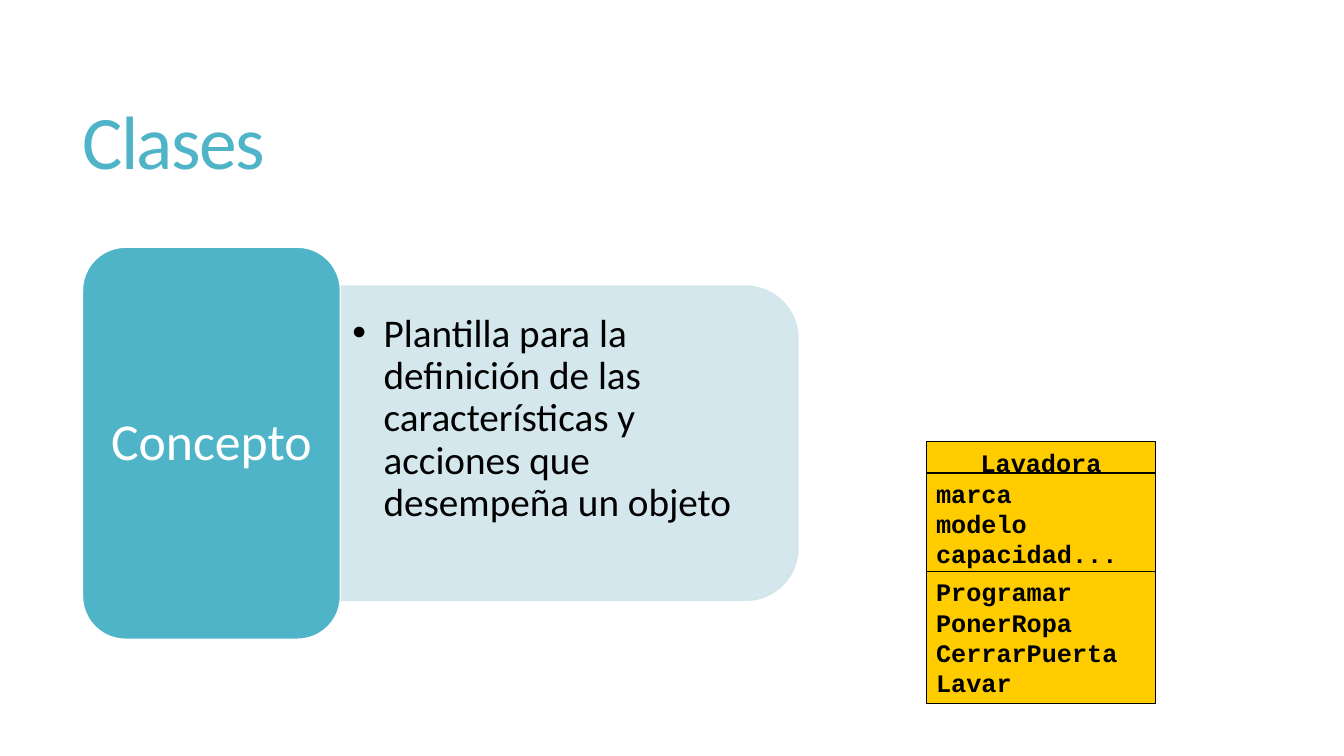
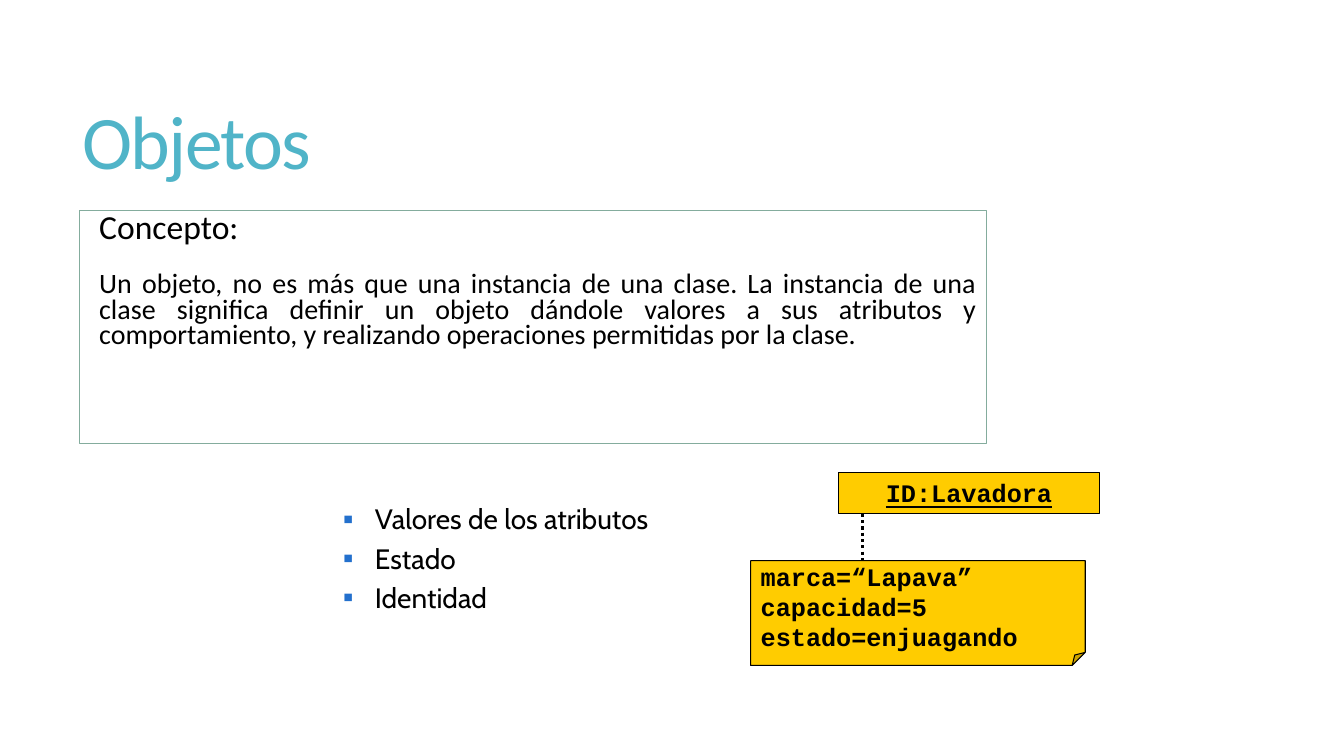
from lxml import etree
from pptx import Presentation
from pptx.dml.color import RGBColor
from pptx.enum.dml import MSO_LINE
from pptx.enum.shapes import MSO_CONNECTOR, MSO_SHAPE
from pptx.enum.text import MSO_ANCHOR, PP_ALIGN
from pptx.oxml.ns import qn
from pptx.util import Cm, Pt

RECT = MSO_SHAPE.RECTANGLE
ROUNDED = MSO_SHAPE.ROUNDED_RECTANGLE
ROUNDED_END = MSO_SHAPE.ROUND_2_SAME_RECTANGLE
NOTE = MSO_SHAPE.FOLDED_CORNER
STRAIGHT = MSO_CONNECTOR.STRAIGHT
DOTTED = MSO_LINE.ROUND_DOT
TOP, MIDDLE = MSO_ANCHOR.TOP, MSO_ANCHOR.MIDDLE
LEFT, CENTER, JUSTIFY = PP_ALIGN.LEFT, PP_ALIGN.CENTER, PP_ALIGN.JUSTIFY

COLORS = {
    "accent": "50B4C8",
    "panel": "D0E5EB",
    "class": "FFCC00",
    "frame": "84AC9D",
    "bullet": "2370CD",
    "ink": "000000",
    "paper": "FFFFFF",
}
BODY_FONT, LIST_FONT, CODE_FONT = "Calibri", "Cabin", "Courier New"
TITLE_BOX = (1.83, 1.4, 29.92, 4.6)
NAME_HEIGHT = 1.04


def rgb(name):
    return RGBColor.from_string(COLORS[name])


def add_box(slide, kind, box, fill, line, width=1):
    shape = slide.shapes.add_shape(kind, *map(Cm, box))
    shape.shadow.inherit = False
    shape.fill.solid()
    shape.fill.fore_color.rgb = rgb(fill)
    shape.line.color.rgb = rgb(line)
    shape.line.width = Pt(width)
    return shape


def set_frame(shape, anchor=TOP, insets=(0.25, 0.13, 0.25, 0.13)):
    frame = shape.text_frame
    frame.word_wrap = True
    frame.vertical_anchor = anchor
    (frame.margin_left, frame.margin_top,
     frame.margin_right, frame.margin_bottom) = map(Cm, insets)
    return frame


def add_text_area(slide, box, **options):
    return set_frame(slide.shapes.add_textbox(*map(Cm, box)), **options)


def write(frame, lines, size, font=BODY_FONT, color="ink", bold=False, underline=False,
          align=LEFT, spacing=None, before=0, after=0):
    for text in lines:
        paragraph = frame.paragraphs[0]
        if paragraph.runs:
            paragraph = frame.add_paragraph()
        paragraph.alignment = align
        paragraph.line_spacing = spacing
        paragraph.space_before, paragraph.space_after = Pt(before), Pt(after)
        run = paragraph.add_run()
        run.text = text
        run.font.name, run.font.size = font, Pt(size)
        run.font.bold, run.font.underline = bold, underline
        run.font.color.rgb = rgb(color)
    return frame


def set_indent(paragraph, margin, hanging=0):
    properties = paragraph._p.get_or_add_pPr()
    properties.set("marL", str(Cm(margin)))
    properties.set("indent", str(-Cm(hanging)))
    return properties


def add_bullets(frame, symbol, margin, hanging, color="ink", percent=100):
    for paragraph in frame.paragraphs:
        properties = set_indent(paragraph, margin, hanging)
        bullet_color = etree.SubElement(properties, qn("a:buClr"))
        etree.SubElement(bullet_color, qn("a:srgbClr"), val=COLORS[color])
        etree.SubElement(properties, qn("a:buSzPct"), val=str(percent * 1000))
        etree.SubElement(properties, qn("a:buFont"), typeface="Arial")
        etree.SubElement(properties, qn("a:buChar"), char=symbol)


def add_title(slide, text):
    frame = write(add_text_area(slide, TITLE_BOX, anchor=MIDDLE), [text], 54,
                  color="accent", spacing=0.85)
    frame.paragraphs[0].runs[0]._r.get_or_add_rPr().set("spc", "-120")


def add_concept(slide, box, label, definition):
    left, top, width, height = box
    label_width, panel_height = 6.5, 7.92
    panel_left, panel_width = left + label_width, width - label_width
    panel_top = top + (height - panel_height) / 2
    swing = (panel_width - panel_height) / 2
    panel = add_box(slide, ROUNDED_END,
                    (panel_left + swing, panel_top - swing, panel_height, panel_width),
                    "panel", "panel")
    panel.rotation = 90
    for color in panel._element.spPr.iter(qn("a:srgbClr")):
        etree.SubElement(color, qn("a:alpha"), val="90000")

    area = (panel_left, panel_top + 0.39, panel_width - 0.39, panel_height - 0.78)
    frame = add_text_area(slide, area, anchor=MIDDLE, insets=(0.3, 0.15, 0.3, 1.37))
    write(frame, [definition], 28, spacing=0.9, after=4.2)
    add_bullets(frame, "•", 0.79, 0.79)

    tab = add_box(slide, ROUNDED, (left, top, label_width, height), "accent", "paper")
    write(set_frame(tab, MIDDLE, (0.1, 0.2, 0.1, 0.2)), [label], 37,
          color="paper", align=CENTER, spacing=0.9)


def add_code_box(slide, box, lines, kind=RECT, anchor=TOP, **style):
    shape = add_box(slide, kind, box, "class", "ink", 0.75)
    write(set_frame(shape, anchor), lines, 18, CODE_FONT, bold=True, **style)
    return shape


def add_class_diagram(slide, box, name, attributes, methods):
    left, top, width, height = box
    attributes_height, methods_height = 2.57, 3.33
    add_code_box(slide, (left, top, width, NAME_HEIGHT), [name], align=CENTER)
    add_code_box(slide, (left, top + 0.79, width, attributes_height), attributes)
    add_code_box(slide, (left, top + height - methods_height, width, methods_height), methods)


def add_object_diagram(slide, box, name, values):
    left, top, width, height = box
    name_width, note_width, note_height, link_offset = 6.58, 8.43, 2.64, 2.82
    note_top = top + height - note_height
    add_code_box(slide, (left + width - name_width, top, name_width, NAME_HEIGHT),
                 [name], align=CENTER, underline=True)
    note = add_code_box(slide, (left, note_top, note_width, note_height), values, NOTE, MIDDLE)
    for fold in note._element.spPr.iter(qn("a:avLst")):
        fold.clear()
        etree.SubElement(fold, qn("a:gd"), name="adj", fmla="val 12500")
    link_x = Cm(left + link_offset)
    link = slide.shapes.add_connector(STRAIGHT, link_x, Cm(top + NAME_HEIGHT),
                                      link_x, Cm(note_top))
    link.line.color.rgb = rgb("ink")
    link.line.width = Pt(2.25)
    link.line.dash_style = DOTTED
    etree.SubElement(link._element.spPr, qn("a:effectLst"))


def add_definition(slide, box, heading, text):
    frame = set_frame(add_box(slide, RECT, box, "paper", "frame"))
    write(frame, [heading], 24, spacing=0.75, before=13)
    write(frame, [text], 20, align=JUSTIFY, spacing=0.75, before=20)
    for paragraph in frame.paragraphs:
        set_indent(paragraph, 0.25)


def add_traits(slide, box, traits):
    frame = write(add_text_area(slide, box), traits, 20, LIST_FONT, before=4)
    add_bullets(frame, "■", 2.06, 0.79, "bullet", 55)


def build_classes(slide):
    add_title(slide, "Clases")
    add_concept(slide, (2.08, 6.23, 18.03, 9.88), "Concepto",
                "Plantilla para la definición de las características y acciones "
                "que desempeña un objeto")
    add_class_diagram(slide, (23.34, 11.13, 5.79, 6.6), "Lavadora",
                      ["marca", "modelo", "capacidad..."],
                      ["Programar", "PonerRopa", "CerrarPuerta", "Lavar"])


def build_objects(slide):
    add_title(slide, "Objetos")
    add_definition(slide, (2, 5.3, 22.86, 5.87), "Concepto:",
                   "Un objeto, no es más que una instancia de una clase. La instancia de una "
                   "clase significa definir un objeto dándole valores a sus atributos y "
                   "comportamiento, y realizando operaciones permitidas por la clase.")
    add_traits(slide, (7.14, 12.52, 10.8, 3.3),
               ["Valores de los atributos", "Estado", "Identidad"])
    add_object_diagram(slide, (18.92, 11.91, 8.79, 4.86), "ID:Lavadora",
                       ["marca=“Lapava”", "capacidad=5", "estado=enjuagando"])


def main():
    deck = Presentation()
    deck.slide_width, deck.slide_height = Cm(33.87), Cm(19.05)
    for build in (build_classes, build_objects):
        build(deck.slides.add_slide(deck.slide_layouts[6]))
    deck.save("out.pptx")


if __name__ == "__main__":
    main()
